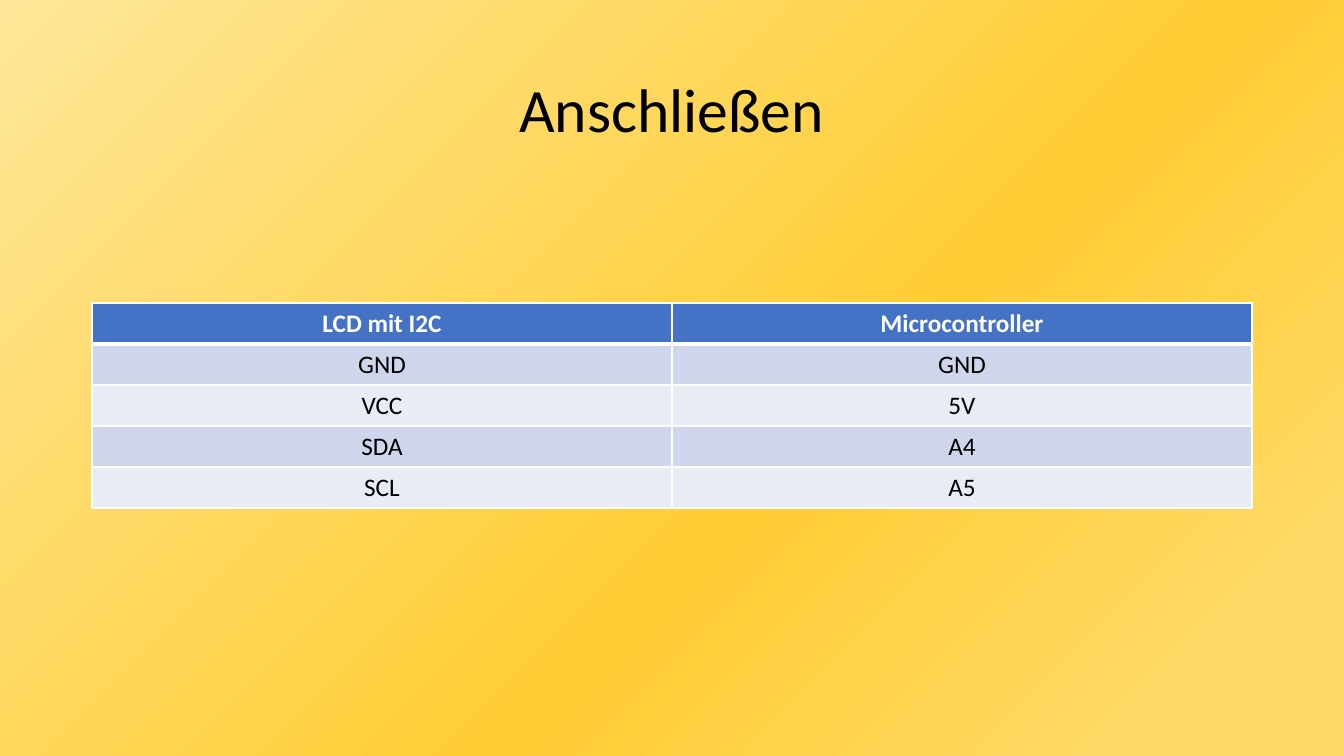
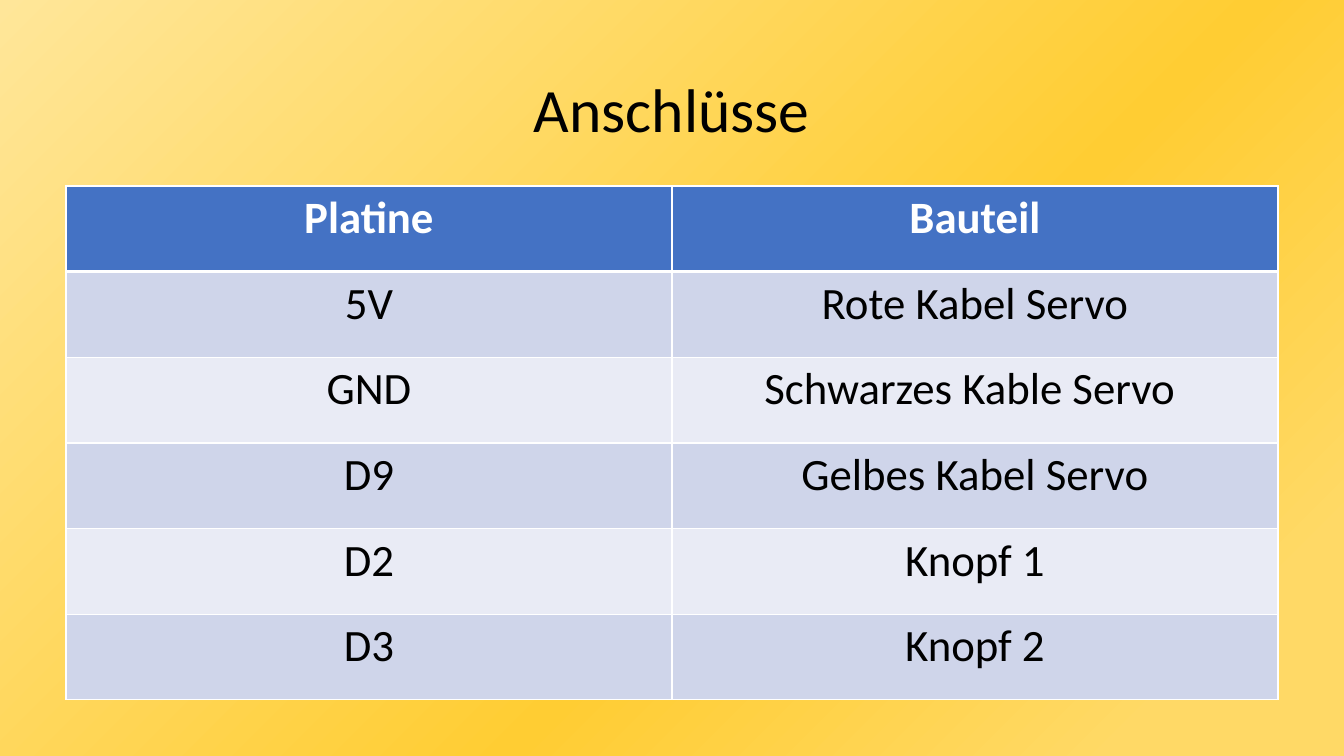
"""Build two slides of wiring tables on a shared golden gradient."""
from dataclasses import dataclass

from lxml.etree import SubElement
from pptx import Presentation
from pptx.dml.color import RGBColor as Rgb
from pptx.enum.text import MSO_ANCHOR as Anchor, PP_ALIGN as Align
from pptx.oxml.ns import qn
from pptx.util import Emu, Pt


@dataclass(frozen=True)
class Theme:
    font: str = "Calibri"
    text: str = "000000"
    light: str = "FFFFFF"
    header: str = "4472C4"
    bands: tuple = ("CFD5EA", "E9EBF5")
    glow: tuple = ((0, "FFE699"), (60, "FFCD33"), (89, "FFD966"))
    glow_angle: int = 315
    title_size: int = 44
    small_table: int = 18
    large_table: int = 32
    thin_line: int = 1
    thick_line: int = 3


THEME = Theme()
SLIDE_WIDTH, SLIDE_HEIGHT = 1344, 756
CONTENT_WIDTH = 1160


def px(length):
    return Emu(round(length * 914400 / 100.8))


def centered(top, width, height):
    return px((SLIDE_WIDTH - width) // 2), px(top), px(width), px(height)


def paint_background(master):
    fill = master.background.fill
    fill.gradient()
    fill.gradient_angle = THEME.glow_angle
    stops = next(master.element.iter(qn("a:gsLst")))
    for stop in list(stops):
        stops.remove(stop)
    for percent, color in THEME.glow:
        stop = SubElement(stops, qn("a:gs"), pos=str(percent * 1000))
        SubElement(stop, qn("a:srgbClr"), val=color)


def write(frame, text, size, color, bold=False):
    frame.text = text
    paragraph = frame.paragraphs[0]
    paragraph.alignment = Align.CENTER
    font = paragraph.runs[0].font
    font.name, font.size, font.bold = THEME.font, Pt(size), bold
    font.color.rgb = Rgb.from_string(color)
    return paragraph


def add_title(slide, text):
    frame = slide.shapes.add_textbox(*centered(40, CONTENT_WIDTH, 146)).text_frame
    frame.word_wrap = True
    frame.vertical_anchor = Anchor.MIDDLE
    write(frame, text, THEME.title_size, THEME.text).line_spacing = 0.9


def add_borders(cell, row_index):
    properties = cell._tc.get_or_add_tcPr()
    thick_edge = {0: "lnB", 1: "lnT"}.get(row_index)
    for edge in ("lnL", "lnR", "lnT", "lnB"):
        width = THEME.thick_line if edge == thick_edge else THEME.thin_line
        line = SubElement(properties, qn(f"a:{edge}"), w=str(Pt(width)))
        fill = SubElement(line, qn("a:solidFill"))
        SubElement(fill, qn("a:srgbClr"), val=THEME.light)


def add_pin_table(slide, rows, size, top, width, height):
    place = centered(top, width, height)
    table = slide.shapes.add_table(len(rows), len(rows[0]), *place).table
    for row_index, row in enumerate(rows):
        is_header = row_index == 0
        band = THEME.header if is_header else THEME.bands[(row_index - 1) % 2]
        color = THEME.light if is_header else THEME.text
        for column_index, text in enumerate(row):
            cell = table.cell(row_index, column_index)
            add_borders(cell, row_index)
            cell.fill.solid()
            cell.fill.fore_color.rgb = Rgb.from_string(band)
            write(cell.text_frame, text, size, color, is_header)


def main():
    deck = Presentation()
    deck.slide_width, deck.slide_height = px(SLIDE_WIDTH), px(SLIDE_HEIGHT)
    paint_background(deck.slide_master)
    blank = deck.slide_layouts[6]

    display = deck.slides.add_slide(blank)
    add_title(display, "Anschließen")
    display_pins = [
        ("LCD mit I2C", "Microcontroller"),
        ("GND", "GND"),
        ("VCC", "5V"),
        ("SDA", "A4"),
        ("SCL", "A5"),
    ]
    add_pin_table(display, display_pins, THEME.small_table, 303, CONTENT_WIDTH, 205)

    servo = deck.slides.add_slide(blank)
    add_title(servo, "Anschlüsse")
    servo_pins = [
        ("Platine", "Bauteil"),
        ("5V", "Rote Kabel Servo"),
        ("GND", "Schwarzes Kable Servo "),
        ("D9", "Gelbes Kabel Servo"),
        ("D2", "Knopf 1"),
        ("D3", "Knopf 2"),
    ]
    add_pin_table(servo, servo_pins, THEME.large_table, 186, 1212, 514)

    deck.save("out.pptx")


if __name__ == "__main__":
    main()
